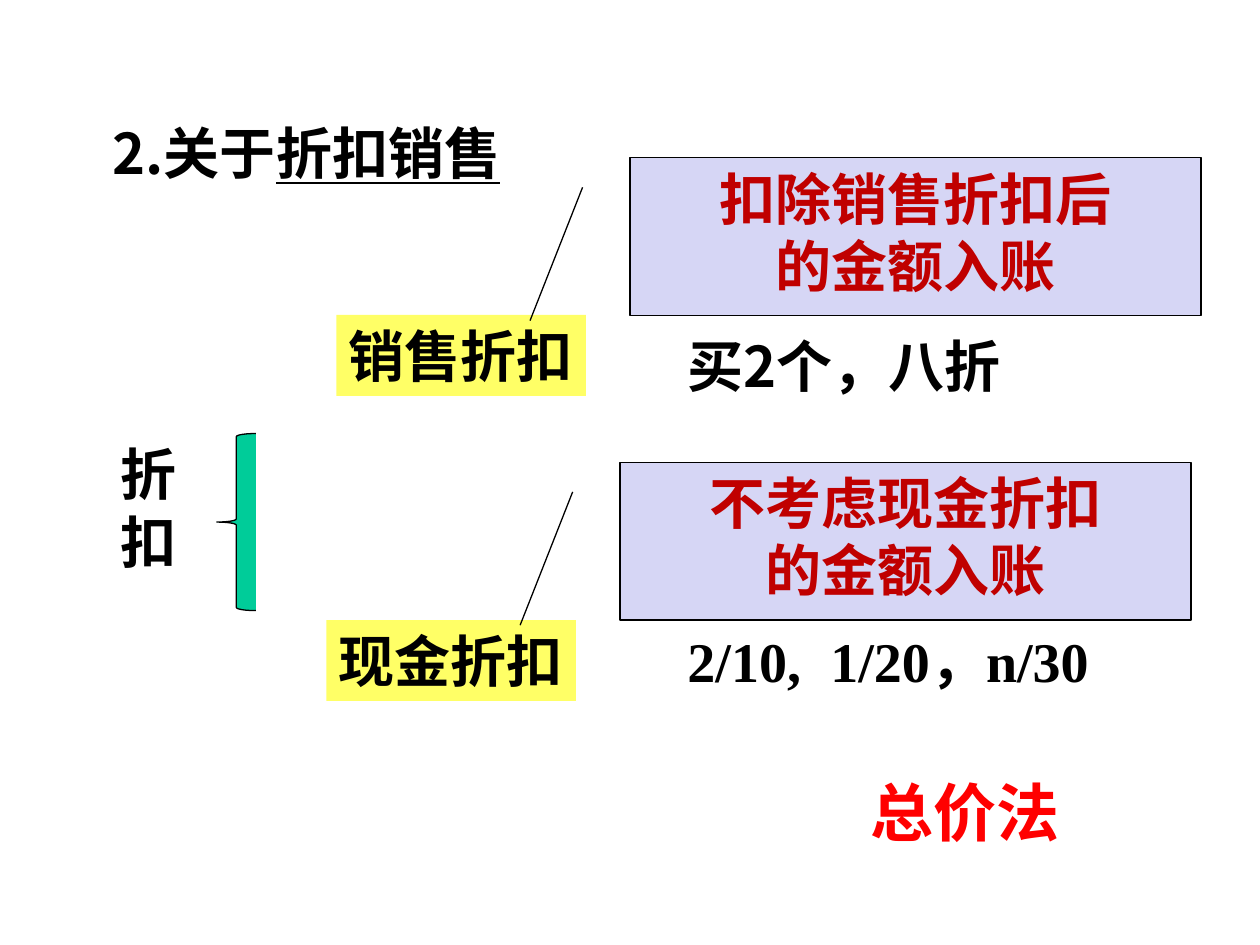
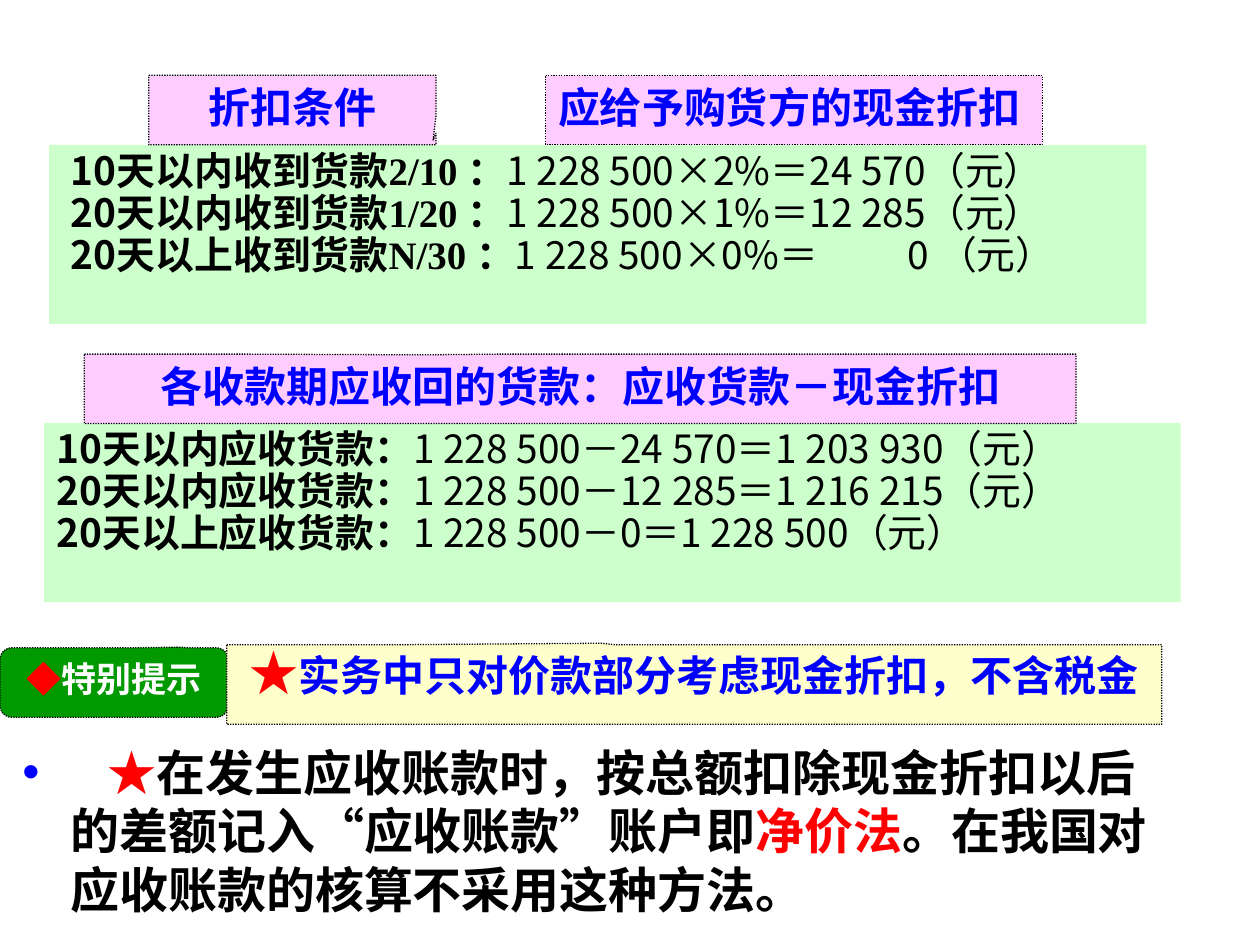
from lxml.etree import SubElement
from pptx import Presentation
from pptx.dml.color import RGBColor
from pptx.enum.dml import MSO_LINE
from pptx.enum.shapes import MSO_SHAPE
from pptx.enum.text import MSO_ANCHOR, MSO_AUTO_SIZE, PP_ALIGN
from pptx.oxml.ns import qn
from pptx.util import Cm, Pt

HUES = {
    "black": "000000", "white": "FFFFFF", "red": "FF0000", "dark": "C00000",
    "blue": "0000FF", "yellow": "FFFF66", "teal": "00CC99", "lilac": "D6D6F5",
    "mint": "CCFFCC", "pink": "FFCCFF", "green": "009900", "cream": "FFFFCC",
}
SANS = "Noto Sans CJK SC"
SERIF = "Times New Roman"
INSETS = (0.25, 0.13, 0.25, 0.13)
LEFT, MID, JUST = PP_ALIGN.LEFT, PP_ALIGN.CENTER, PP_ALIGN.JUSTIFY


def tint(name):
    return RGBColor.from_string(HUES[name])


def place(shape, box):
    shape.left, shape.top, shape.width, shape.height = map(Cm, box)


def add_tabs(para, stops):
    tabs = SubElement(para._p.get_or_add_pPr(), qn("a:tabLst"))
    for stop in stops:
        SubElement(tabs, qn("a:tab"), pos=str(Cm(stop)), algn="l")


def add_bullet(para, hue):
    props = para._p.get_or_add_pPr()
    props.set("marL", str(Cm(0.97)))
    props.set("indent", str(Cm(-0.97)))
    color = SubElement(props, qn("a:buClr"))
    SubElement(color, qn("a:srgbClr"), val=HUES[hue])
    SubElement(props, qn("a:buChar"), char="•")


def add_run(para, text, hue=None, face=None, size=None, bold=None, under=None):
    run = para.add_run()
    run.text = text
    font = run.font
    font.name, font.bold, font.underline = face, bold, under
    if size:
        font.size = Pt(size)
    if hue:
        font.color.rgb = tint(hue)


def write(shape, lines, size, hue="black", face=SANS, align=LEFT, pitch=1.2,
          wrap=True, insets=INSETS, stops=(), bullet=None):
    frame = shape.text_frame
    frame.auto_size = MSO_AUTO_SIZE.NONE
    frame.word_wrap = wrap
    frame.vertical_anchor = MSO_ANCHOR.TOP
    (frame.margin_left, frame.margin_top,
     frame.margin_right, frame.margin_bottom) = map(Cm, insets)
    for spot, line in enumerate(lines):
        para = frame.add_paragraph() if spot else frame.paragraphs[0]
        para.alignment = align
        para.space_before = Pt(0)
        para.line_spacing = Pt(round(size * pitch, 1))
        if bullet:
            add_bullet(para, bullet)
        if stops:
            add_tabs(para, stops)
        font = para.font
        font.size, font.bold, font.name = Pt(size), True, face
        font.color.rgb = tint(hue)
        SubElement(font._element, qn("a:ea"), typeface=SANS)
        for text, style in [(line, {})] if isinstance(line, str) else line:
            add_run(para, text, **style)


def add_label(slide, box, lines, size, **style):
    label = slide.shapes.add_textbox(*map(Cm, box))
    write(label, lines, size, wrap=False, **style)


def add_block(slide, kind, box, fill, line=None, dash=None, bends=()):
    block = slide.shapes.add_shape(kind, *map(Cm, box))
    block.shadow.inherit = False
    block.fill.solid()
    block.fill.fore_color.rgb = tint(fill)
    for spot, bend in enumerate(bends):
        block.adjustments[spot] = bend
    if line:
        block.line.color.rgb = tint(line)
        block.line.width = Pt(0.75)
        if dash:
            block.line.dash_style = dash
    else:
        block.line.fill.background()
    return block


def add_term(slide, left, top, text):
    tag = add_block(slide, MSO_SHAPE.RECTANGLE, (left, top, 5.03, 1.63), "yellow")
    write(tag, [text], 32, wrap=False)


def add_rule(slide, left, top, lines):
    note = add_block(slide, MSO_SHAPE.LINE_CALLOUT_1, (left, top, 11.51, 3.18),
                     "lilac", "black", bends=(0.188, -0.083, 1.033, -0.175))
    write(note, lines, 32, "dark", SERIF, MID)


def add_sums(slide, box, lines, inset, stops=()):
    panel = add_block(slide, MSO_SHAPE.RECTANGLE, box, "mint")
    write(panel, lines, 22.2, align=JUST, pitch=1.08,
          insets=(inset, *INSETS[1:]), stops=stops)


def add_flag(slide, box, text, bends, fill="pink", kind=MSO_SHAPE.RECTANGULAR_CALLOUT,
             size=24, hue="blue", align=MID):
    flag = add_block(slide, kind, box, fill, "black", MSO_LINE.ROUND_DOT, bends)
    write(flag, [text], size, hue, SERIF, align)


def build_kinds(deck):
    slide = deck.slides.add_slide(deck.slide_layouts[5])
    title = slide.shapes.title
    place(title, (2.27, 2.39, 20, 2.39))
    write(title, [[("2.关于", {}), ("折扣销售", {"under": True})]], 32,
          insets=(0, 0, 0, 0))
    add_label(slide, (2.18, 8.74, 1.63, 2.97), ["折", "扣"], 32, face=SERIF)
    add_term(slide, 6.78, 6.35, "销售折扣")
    add_term(slide, 6.58, 12.5, "现金折扣")
    add_block(slide, MSO_SHAPE.LEFT_BRACE, (4.37, 8.74, 0.79, 3.57), "teal", "black",
              bends=(0.08, 0.5))
    add_label(slide, (13.61, 6.55, 7.37, 1.63), ["买2个，八折"], 32)
    add_label(slide, (13.61, 12.5, 9.12, 1.63), ["2/10,\t1/20，n/30"], 32,
              face=SERIF, stops=(2.88,))
    add_rule(slide, 12.7, 3.18, ["扣除销售折扣后", "的金额入账"])
    add_rule(slide, 12.5, 9.32, ["不考虑现金折扣", "的金额入账"])
    add_label(slide, (17.3, 15.47, 4.32, 1.78), ["总价法"], 36, hue="red")


def build_sums(deck):
    slide = deck.slides.add_slide(deck.slide_layouts[1])
    title = slide.shapes.title
    title.element.getparent().remove(title.element)
    serif, plain = {"face": SERIF}, {"bold": False}
    terms = [
        ("10天以内", "2/10 ", "1 228 500×2%＝24 570（元）"),
        ("20天以内", "1/20 ", "1 228 500×1%＝12 285（元）"),
        ("20天以上", "N/30 ", "1 228 500×0%＝\t0 （元）"),
    ]
    add_sums(slide, (0.99, 2.92, 22.12, 3.61),
             [[(days + "收到货款", {}), (term, serif), ("：", {}), (total, plain)]
              for days, term, total in terms], 0.44, (16.87,))
    dues = [
        ("10天以内", "1 228 500－24 570＝1 203 930（元）"),
        ("20天以内", "1 228 500－12 285＝1 216 215（元）"),
        ("20天以上", "1 228 500－0＝1 228 500（元）"),
    ]
    add_sums(slide, (0.89, 8.53, 22.91, 3.61),
             [[(days + "应收货款：", {}), (total, plain)] for days, total in dues], 0.25)

    add_flag(slide, (3, 1.52, 5.79, 1.4), "折扣条件", (0.49, 0.43))
    add_flag(slide, (1.7, 7.14, 19.99, 1.4),
             "各收款期应收回的货款：应收货款－现金折扣", (-0.16, -0.49))
    add_flag(slide, (11, 1.52, 10.01, 1.4), "应给予购货方的现金折扣",
             (0.32, -0.5), align=LEFT)

    red = {"hue": "red"}
    body = slide.placeholders[1]
    place(body, (0.2, 14.83, 23.22, 4.2))
    write(body, [[
        ("\t", {}), ("★", red),
        ("在发生应收账款时，按总额扣除现金折扣以后的差额记入“应收账款”账户即", {}),
        ("净价法", red),
        ("。在我国对应收账款的核算不采用这种方法。", {}),
    ]], 28, bullet="blue", stops=(0.76, 1.72))

    add_flag(slide, (0, 13.06, 4.6, 1.4), [("◆", red), ("特别提示", {})],
             (0.28, -0.51, 0.17), "green", MSO_SHAPE.ROUNDED_RECTANGULAR_CALLOUT,
             20, "white")
    star = {"hue": "red", "face": SANS, "size": 28}
    add_flag(slide, (4.57, 13, 18.85, 1.6),
             [("★", star), ("实务中只对价款部分考虑现金折扣，不含税金", {})],
             (-0.1, -0.52), "cream")


def main():
    deck = Presentation()
    deck.slide_width, deck.slide_height = Cm(25.4), Cm(19.05)
    build_kinds(deck)
    build_sums(deck)
    deck.save("out.pptx")


if __name__ == "__main__":
    main()
